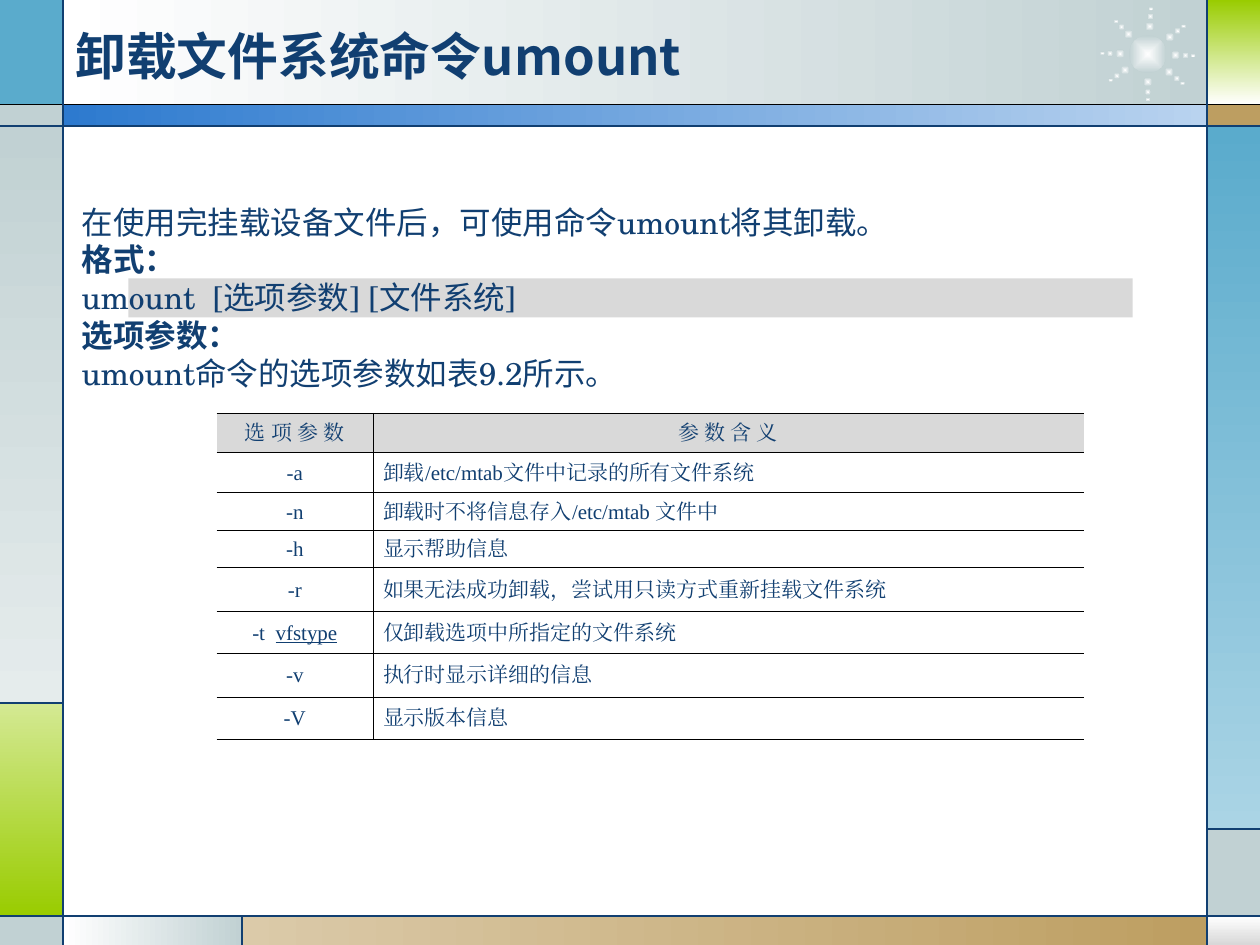
import math
from typing import NamedTuple

import pptx
import pptx.dml.color
import pptx.enum.shapes
import pptx.enum.text
import pptx.oxml
import pptx.oxml.ns
import pptx.oxml.xmlchemy
import pptx.util

Inches = pptx.util.Inches
Pt = pptx.util.Pt
qn = pptx.oxml.ns.qn
new_element = pptx.oxml.xmlchemy.OxmlElement
ALIGN = pptx.enum.text.PP_ALIGN
MIDDLE = pptx.enum.text.MSO_ANCHOR.MIDDLE
PRESET = pptx.enum.shapes.MSO_SHAPE

COLORS = {
    "white": "FFFFFF", "black": "000000", "navy": "113F71",
    "mist": "C1D1D3", "pale mist": "E5ECEC", "silver": "D8D8D8", "gray": "D9D9D9",
    "sky": "5AABCC", "pale sky": "AAD4E5", "blue": "2D7ACF", "pale blue": "B9D3EF",
    "green": "99CC00", "pale green": "D4E993", "tan": "BD9E61", "pale tan": "DBCAA9",
}

# Grid lines of the frame, in inches
COLS = (0, 0.5, 1.92, 9.58, 10)
ROWS = (0, 0.83, 1, 5.58, 6.58, 7.27, 7.5)
RIGHT, DOWN = 0, 270


class Panel(NamedTuple):
    """Frame field between two grid corners, each a (column, row) pair."""
    start: tuple
    end: tuple
    colors: tuple
    direction: int = RIGHT


class Rule(NamedTuple):
    start: tuple
    end: tuple
    color: str = "navy"


class Dot(NamedTuple):
    radius: float
    width: float
    height: float


class Option(NamedTuple):
    flag: str
    meaning: str
    height: float
    argument: str = ""


PANELS = (
    Panel((1, 0), (3, 1), ("white", "mist")),
    Panel((0, 0), (1, 1), ("sky",)),
    Panel((0, 1), (1, 2), ("mist",)),
    Panel((0, 2), (1, 3), ("mist", "pale mist"), DOWN),
    Panel((0, 3), (1, 5), ("pale green", "green"), DOWN),
    Panel((0, 5), (1, 6), ("mist",)),
    Panel((1, 5), (2, 6), ("white", "mist")),
    Panel((2, 5), (3, 6), ("pale tan", "tan")),
    Panel((3, 5), (4, 6), ("white", "silver"), DOWN),
    Panel((3, 4), (4, 5), ("mist",)),
    Panel((3, 2), (4, 4), ("sky", "pale sky"), DOWN),
    Panel((3, 1), (4, 2), ("tan",)),
    Panel((3, 0), (4, 1), ("green", "white"), DOWN),
    Panel((1, 1), (3, 2), ("blue", "pale blue")),
)
RULES = (
    Rule((0, 1), (4, 1), "black"), Rule((0, 2), (4, 2)), Rule((0, 5), (4, 5)),
    Rule((1, 0), (1, 6)), Rule((3, 0), (3, 6)), Rule((1, 3), (0, 3)),
    Rule((2, 5), (2, 6)), Rule((3, 4), (4, 4)),
)
SUN_CENTER = (9.11, 0.43)
SUN_ANGLES = (2, 40, 90, 145, 181, 226, 274, 322)
SUN_DOTS = (Dot(0.3, 0.05, 0.05), Dot(0.36, 0.04, 0.03), Dot(0.22, 0.07, 0.07))

INTRO = (
    ("在使用完挂载设备文件后，可使用命令umount将其卸载。", False),
    ("格式：", True),
    ("umount  [选项参数] [文件系统]", False),
    ("选项参数：", True),
    ("umount命令的选项参数如表9.2所示。", False),
)
OPTIONS = (
    Option("选 项 参 数", "参 数 含 义", 0.31),
    Option("-a", "卸载/etc/mtab文件中记录的所有文件系统", 0.32),
    Option("-n", "卸载时不将信息存入/etc/mtab 文件中", 0.3),
    Option("-h", "显示帮助信息", 0.29),
    Option("-r", "如果无法成功卸载，尝试用只读方式重新挂载文件系统", 0.35),
    Option("-t  ", "仅卸载选项中所指定的文件系统", 0.33, "vfstype"),
    Option("-v", "执行时显示详细的信息", 0.35),
    Option("-V", "显示版本信息", 0.33),
)


def rgb(name: str) -> pptx.dml.color.RGBColor:
    return pptx.dml.color.RGBColor.from_string(COLORS[name])


def add_field(slide, preset, box: tuple, colors: tuple, direction: int = RIGHT):
    """Draw an unlined shape with one colour or a two-colour gradient."""
    field = slide.shapes.add_shape(preset, *map(Inches, box))
    field.shadow.inherit = False
    field.line.fill.background()
    if len(colors) == 1:
        field.fill.solid()
        field.fill.fore_color.rgb = rgb(colors[0])
    else:
        field.fill.gradient()
        field.fill.gradient_angle = direction
        for position, (stop, color) in enumerate(zip(field.fill.gradient_stops, colors)):
            stop.position = position
            stop.color.rgb = rgb(color)
    return field


def add_panel(slide, panel: Panel) -> None:
    left, top = COLS[panel.start[0]], ROWS[panel.start[1]]
    right, bottom = COLS[panel.end[0]], ROWS[panel.end[1]]
    add_field(slide, PRESET.RECTANGLE, (left, top, right - left, bottom - top),
              panel.colors, panel.direction)


def add_glow(slide, x: float, y: float, width: float, height: float) -> None:
    """Draw an ellipse around (x, y) that fades from its centre outwards."""
    glow = add_field(slide, PRESET.OVAL, (x - width / 2, y - height / 2, width, height),
                     ("white", "mist"))
    gradient = glow._element.spPr.find(qn("a:gradFill"))
    gradient.replace(gradient.find(qn("a:lin")), pptx.oxml.parse_xml(
        f'<a:path {pptx.oxml.ns.nsdecls("a")} path="rect">'
        '<a:fillToRect l="50000" t="50000" r="50000" b="50000"/></a:path>'))


def add_sun(slide) -> None:
    x, y = SUN_CENTER
    add_glow(slide, x, y, 0.3, 0.3)
    for angle in map(math.radians, SUN_ANGLES):
        for dot in SUN_DOTS:
            add_glow(slide, x + dot.radius * math.cos(angle),
                     y + dot.radius * math.sin(angle), dot.width, dot.height)


def add_rule(slide, rule: Rule) -> None:
    ends = [Inches(at) for column, row in (rule.start, rule.end)
            for at in (COLS[column], ROWS[row])]
    line = slide.shapes.add_connector(pptx.enum.shapes.MSO_CONNECTOR.STRAIGHT, *ends)
    line.line.color.rgb = rgb(rule.color)
    line.line.width = Pt(0.75)
    line._element.spPr.append(new_element("a:effectLst"))


def set_font(paragraph, face: str, size: float, bold: bool = False) -> None:
    """Style a paragraph, with one face for Latin and East Asian text."""
    font = paragraph.font
    font.name, font.size, font.bold = face, Pt(size), bold
    font.color.rgb = rgb("navy")
    east_asian = new_element("a:ea")
    east_asian.set("typeface", face)
    font._element.find(qn("a:latin")).addnext(east_asian)


def add_text(slide, box: tuple, lines: tuple, face: str, size: float):
    frame = slide.shapes.add_textbox(*map(Inches, box)).text_frame
    frame.word_wrap = True
    for index, (text, bold) in enumerate(lines):
        paragraph = frame.add_paragraph() if index else frame.paragraphs[0]
        paragraph.text = text
        set_font(paragraph, face, size, bold)
    return frame


def set_borders(cell, drawn: str) -> None:
    """Draw the sides named by letter in drawn and clear the others."""
    for side in "LRTB":
        paint = (f'<a:solidFill><a:srgbClr val="{COLORS["black"]}"/></a:solidFill>'
                 if side in drawn else "<a:noFill/>")
        cell._tc.get_or_add_tcPr().append(pptx.oxml.parse_xml(
            f'<a:ln{side} {pptx.oxml.ns.nsdecls("a")} w="{Pt(0.45)}">{paint}</a:ln{side}>'))


def add_options(slide) -> None:
    widths = (1.24, 5.64)
    table = slide.shapes.add_table(
        len(OPTIONS), len(widths), Inches(1.72), Inches(3.28), Inches(sum(widths)),
        Inches(sum(option.height for option in OPTIONS))).table
    table.first_row = table.horz_banding = False
    for column, width in zip(table.columns, widths):
        column.width = Inches(width)
    for index, option in enumerate(OPTIONS):
        table.rows[index].height = Inches(option.height)
        for column, text in enumerate((option.flag, option.meaning)):
            cell = table.cell(index, column)
            cell.vertical_anchor = MIDDLE
            cell.margin_left = cell.margin_right = Inches(0.08)
            set_borders(cell, "LTB" if column else "RTB")
            if index:
                cell.fill.background()
            else:
                cell.fill.solid()
                cell.fill.fore_color.rgb = rgb("gray")
            paragraph = cell.text_frame.paragraphs[0]
            paragraph.alignment = ALIGN.JUSTIFY if index and column else ALIGN.CENTER
            paragraph.line_spacing = Pt(14)
            paragraph.add_run().text = text
            if option.argument and not column:
                argument = paragraph.add_run()
                argument.text = option.argument
                argument.font.underline = True
            set_font(paragraph, "Times New Roman", 12)


def main() -> None:
    deck = pptx.Presentation()
    deck.slide_width, deck.slide_height = Inches(COLS[-1]), Inches(ROWS[-1])
    slide = deck.slides.add_slide(deck.slide_layouts[6])
    for panel in PANELS:
        add_panel(slide, panel)
    add_sun(slide)
    for rule in RULES:
        add_rule(slide, rule)
    add_field(slide, PRESET.RECTANGLE, (1.02, 2.21, 7.97, 0.31), ("gray",))
    title = add_text(slide, (0.5, 0.13, 7.92, 0.62), (("卸载文件系统命令umount", True),),
                     "Noto Sans CJK SC", 29)
    title.vertical_anchor = MIDDLE
    add_text(slide, (0.55, 1.56, 8.91, 1.9), INTRO, "TeX Gyre Schola", 18)
    add_options(slide)
    deck.save("out.pptx")


if __name__ == "__main__":
    main()
